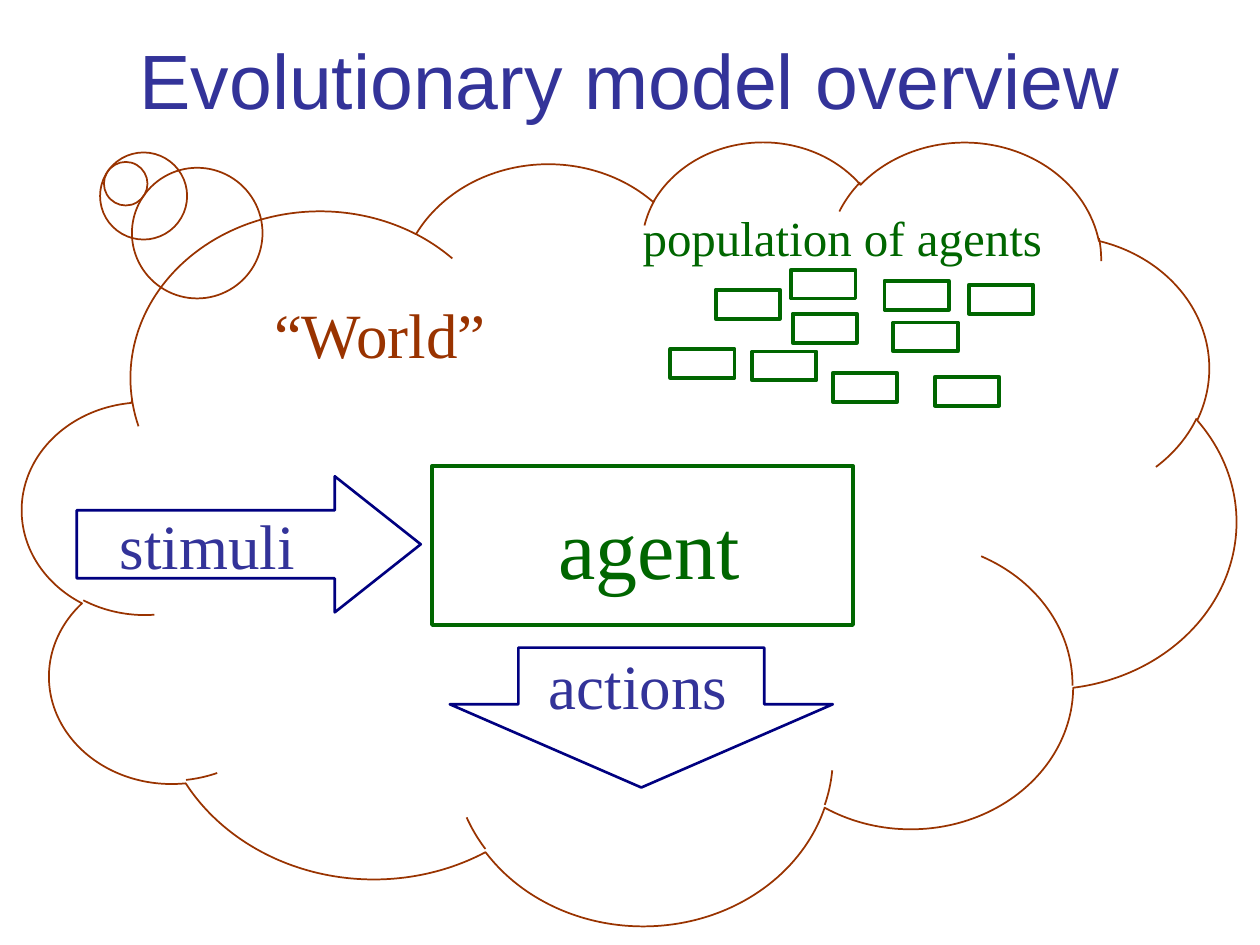
"""Build the slide with an agent, its world cloud and the population of agents."""
from pptx import Presentation
from pptx.dml.color import RGBColor
from pptx.enum.shapes import MSO_SHAPE
from pptx.enum.text import MSO_ANCHOR, PP_ALIGN
from pptx.util import Emu, Pt

PX = 9144
HUE = {"blue": "333399", "navy": "000080", "green": "006600",
       "brown": "993300", "white": "FFFFFF"}


def style(frame, text, font, size, hue):
    frame.word_wrap = True
    frame.text = text
    para = frame.paragraphs[0]
    para.alignment = PP_ALIGN.CENTER
    para.font.name = font
    para.font.size = Pt(size)
    para.font.color.rgb = RGBColor.from_string(HUE[hue])


def draw(kind, box, hue, width, fill=None, adjust=()):
    shape = slide.shapes.add_shape(kind, *[Emu(n * PX) for n in box])
    shape.shadow.inherit = False
    if fill:
        shape.fill.solid()
        shape.fill.fore_color.rgb = RGBColor.from_string(HUE[fill])
    else:
        shape.fill.background()
    shape.line.color.rgb = RGBColor.from_string(HUE[hue])
    shape.line.width = Pt(width)
    for i, value in enumerate(adjust):
        shape.adjustments[i] = value


deck = Presentation()
deck.slide_width, deck.slide_height = Emu(1000 * PX), Emu(750 * PX)
slide = deck.slides.add_slide(deck.slide_layouts[5])

title = slide.shapes.title
title.left, title.top = Emu(50 * PX), Emu(0)
title.width, title.height = Emu(900 * PX), Emu(125 * PX)
style(title.text_frame, "Evolutionary model overview", "Arial", 44, "blue")
title.text_frame.vertical_anchor = MSO_ANCHOR.MIDDLE

draw(MSO_SHAPE.CLOUD_CALLOUT, (18, 111, 963, 622), "brown", 1,
     adjust=(-0.415, -0.444))
draw(MSO_SHAPE.RECTANGLE, (343, 370, 334, 126), "green", 2.25, fill="white")

agents = [(568, 230), (628, 214), (702, 223), (709, 256), (532, 277),
          (742, 299), (769, 226), (597, 279), (661, 296), (629, 249)]
for x, y in agents:
    draw(MSO_SHAPE.RECTANGLE, (x, y, 51, 23), "green", 2.25)

draw(MSO_SHAPE.RIGHT_ARROW, (61, 378, 273, 108), "navy", 1.5,
     adjust=(0.5, 0.632))
draw(MSO_SHAPE.DOWN_ARROW, (357, 514, 304, 111), "navy", 1.5,
     adjust=(0.642, 0.595))

labels = [
    ("agent", (347, 388, 337, 90), 48, "green"),
    ("“World”", (124, 230, 355, 70), 36, "brown"),
    ("population of agents", (491, 160, 355, 57), 28, "green"),
    ("stimuli", (21, 397, 287, 70), 36, "blue"),
    ("actions", (404, 508, 205, 70), 36, "blue"),
]
for text, box, size, hue in labels:
    label = slide.shapes.add_textbox(*[Emu(n * PX) for n in box])
    style(label.text_frame, text, "Times New Roman", size, hue)

deck.save("out.pptx")
